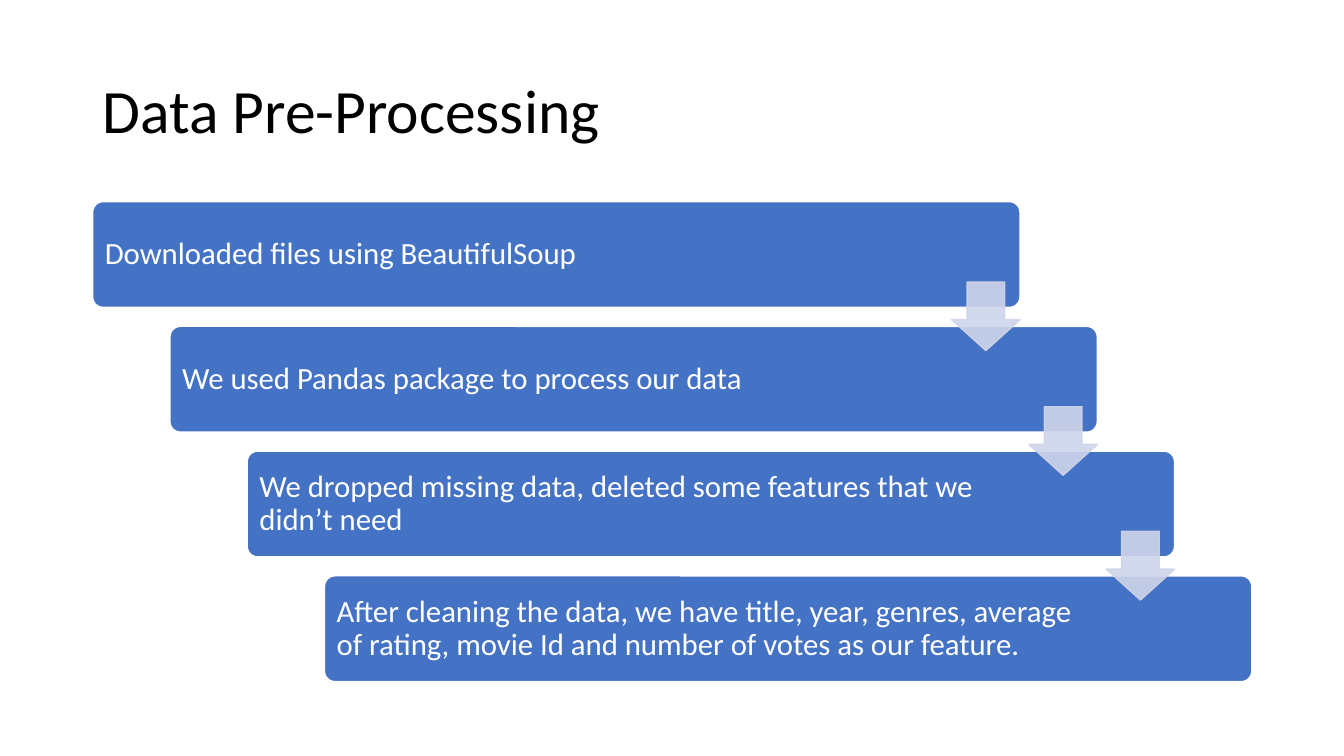
"""Build the Data Pre-Processing slide: four stepped boxes linked by arrows."""
from lxml.etree import SubElement
from pptx import Presentation
from pptx.dml.color import RGBColor
from pptx.enum.shapes import MSO_SHAPE
from pptx.enum.text import MSO_ANCHOR, PP_ALIGN
from pptx.oxml.ns import qn
from pptx.util import Pt

BLACK = RGBColor(0x00, 0x00, 0x00)
WHITE = RGBColor(0xFF, 0xFF, 0xFF)
BLUE = RGBColor(0x44, 0x72, 0xC4)
PALE_BLUE = RGBColor(0xCF, 0xD5, 0xEA)

STEPS = [
    "Downloaded files using BeautifulSoup",
    "We used Pandas package to process our data",
    "We dropped missing data, deleted some features that we didn’t need",
    "After cleaning the data, we have title, year, genres, average of rating, "
    "movie Id and number of votes as our feature.",
]
STEP_RIGHT, STEP_DOWN = 55.2, 89.1
BOX_FRAME = {"margin_left": Pt(6.5), "margin_right": Pt(110.8), "margin_top": Pt(6.5),
             "margin_bottom": Pt(6.5), "vertical_anchor": MSO_ANCHOR.MIDDLE, "word_wrap": True}


def add_step_shape(page, kind, place, color, line_color, adjustments):
    shape = page.shapes.add_shape(kind, *[Pt(length) for length in place])
    shape.shadow.inherit = False
    shape.fill.solid()
    shape.fill.fore_color.rgb = color
    shape.line.color.rgb = line_color
    shape.line.width = Pt(1)
    for index, value in enumerate(adjustments):
        shape.adjustments[index] = value
    return shape


def write_text(frame, text, size, color):
    frame.text = text
    para = frame.paragraphs[0]
    formats = {"alignment": PP_ALIGN.LEFT, "line_spacing": 0.9}
    for name, value in formats.items():
        setattr(para, name, value)
    span = para.runs[0]
    for name, value in {"name": "Calibri", "size": Pt(size)}.items():
        setattr(span.font, name, value)
    span.font.color.rgb = color


deck = Presentation()
deck.slide_width, deck.slide_height = Pt(960), Pt(540)
page = deck.slides.add_slide(deck.slide_layouts[5])

title = page.shapes.title
title_place = {"left": Pt(66), "top": Pt(28.8), "width": Pt(828), "height": Pt(104.4)}
for name, value in title_place.items():
    setattr(title, name, value)
title.text_frame.vertical_anchor = MSO_ANCHOR.MIDDLE
write_text(title.text_frame, "Data Pre-Processing", 44, BLACK)

for number, text in enumerate(STEPS):
    place = (66.2 + number * STEP_RIGHT, 144 + number * STEP_DOWN, 662.4, 75.6)
    box = add_step_shape(page, MSO_SHAPE.ROUNDED_RECTANGLE, place, BLUE, WHITE, [0.1])
    for name, value in BOX_FRAME.items():
        setattr(box.text_frame, name, value)
    write_text(box.text_frame, text, 22, WHITE)

for number in range(len(STEPS) - 1):
    place = (679.7 + number * STEP_RIGHT, 201.4 + number * STEP_DOWN, 49, 49)
    arrow = add_step_shape(page, MSO_SHAPE.DOWN_ARROW, place, PALE_BLUE, PALE_BLUE, [0.55, 0.45])
    for color in arrow.element.spPr.iter(qn("a:srgbClr")):
        SubElement(color, qn("a:alpha"), val="90000")

deck.save("out.pptx")
